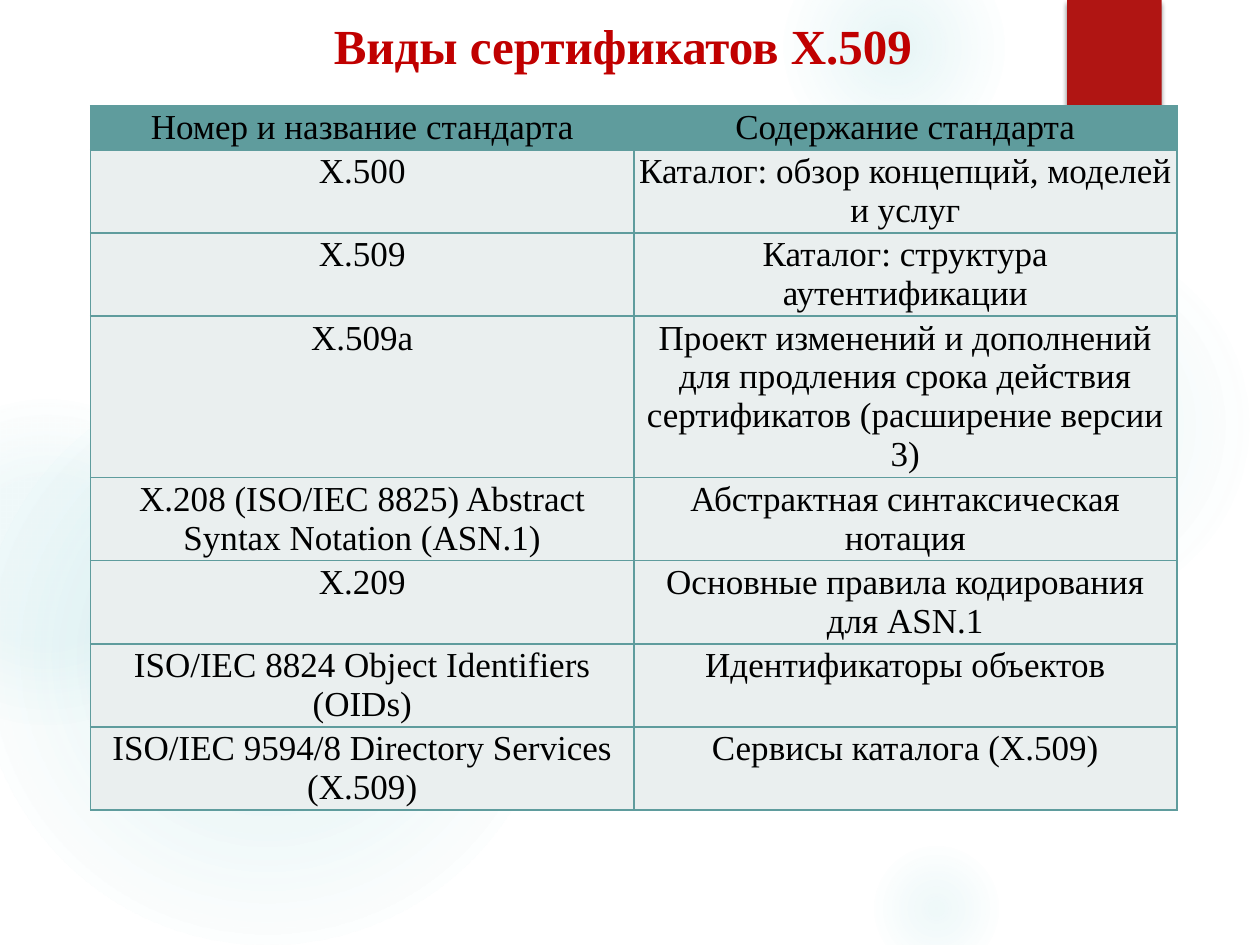
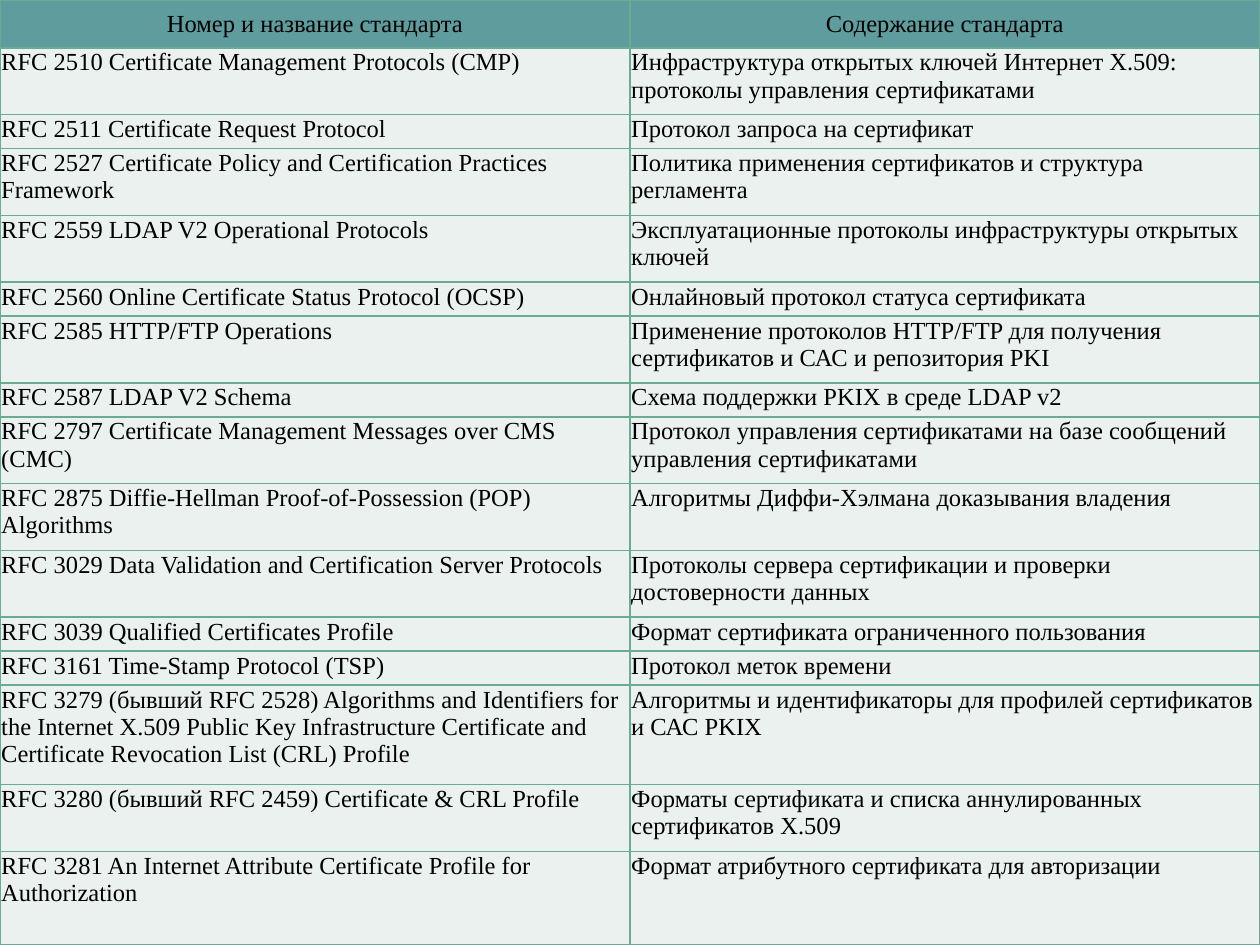
from pptx import Presentation
from pptx.dml.color import RGBColor
from pptx.enum.shapes import MSO_SHAPE
from pptx.enum.text import MSO_ANCHOR, PP_ALIGN
from pptx.oxml import parse_xml
from pptx.oxml.ns import nsdecls, qn
from pptx.util import Inches, Pt

CENTER, LEFT = PP_ALIGN.CENTER, PP_ALIGN.LEFT
TOP, MIDDLE = MSO_ANCHOR.TOP, MSO_ANCHOR.MIDDLE
OVAL, RECT = MSO_SHAPE.OVAL, MSO_SHAPE.RECTANGLE

# Shared style
FONT = "Times New Roman"
BLACK, RED, TITLE_RED = "000000", "B01513", "C00000"
GLOW, HEADER_FILL = "50B9C1", "5F9C9D"
PAGE_W, PAGE_H = 10, 7.5

# Background glows: left, top, diameter, (stop %, opacity %) from the centre out
GLOWS = [
    (6.89, 1.83, 3.08, [(0, 7), (36, 6), (69, 0)]),
    (6.22, -0.5, 1.75, [(0, 14), (36, 7), (73, 0)]),
    (6.89, 6.67, 1.08, [(0, 9), (36, 5), (66, 0)]),
    (-0.17, 2.92, 4.58, [(0, 11), (36, 10), (75, 0)]),
    (-0.92, 3.17, 2.58, [(0, 8), (36, 8), (72, 0)]),
]

# Content: number and name, contents, lines of text in the row
TITLE = "Виды сертификатов X.509"
HEADER = ("Номер и название стандарта", "Содержание стандарта", 1)
X509_ROWS = [
    ("X.500", "Каталог: обзор концепций, моделей и услуг", 2),
    ("X.509", "Каталог: структура аутентификации", 2),
    ("X.509a", "Проект изменений и дополнений для продления срока действия "
     "сертификатов (расширение версии 3)", 4),
    ("X.208 (ISO/IEC 8825) Abstract Syntax Notation (ASN.1)",
     "Абстрактная синтаксическая нотация", 2),
    ("X.209", "Основные правила кодирования для ASN.1", 2),
    ("ISO/IEC 8824 Object Identifiers (OIDs)", "Идентификаторы объектов", 2),
    ("ISO/IEC 9594/8 Directory Services (X.509)", "Сервисы каталога (X.509)", 2),
]
RFC_ROWS = [
    ("RFC 2510 Certificate Management Protocols (CMP)",
     "Инфраструктура открытых ключей Интернет X.509: протоколы управления "
     "сертификатами", 2),
    ("RFC 2511 Certificate Request Protocol", "Протокол запроса на сертификат", 1),
    ("RFC 2527 Certificate Policy and Certification Practices Framework",
     "Политика применения сертификатов и структура регламента", 2),
    ("RFC 2559 LDAP V2 Operational Protocols",
     "Эксплуатационные протоколы инфраструктуры открытых ключей", 2),
    ("RFC 2560 Online Certificate Status Protocol (OCSP)",
     "Онлайновый протокол статуса сертификата", 1),
    ("RFC 2585 HTTP/FTP Operations",
     "Применение протоколов HTTP/FTP для получения сертификатов и САС и "
     "репозитория PKI", 2),
    ("RFC 2587 LDAP V2 Schema", "Схема поддержки PKIX в среде LDAP v2", 1),
    ("RFC 2797 Certificate Management Messages over CMS (CMC)",
     "Протокол управления сертификатами на базе сообщений управления "
     "сертификатами", 2),
    ("RFC 2875 Diffie-Hellman Proof-of-Possession (POP) Algorithms",
     "Алгоритмы Диффи-Хэлмана доказывания владения", 2),
    ("RFC 3029 Data Validation and Certification Server Protocols",
     "Протоколы сервера сертификации и проверки достоверности данных", 2),
    ("RFC 3039 Qualified Certificates Profile",
     "Формат сертификата ограниченного пользования", 1),
    ("RFC 3161 Time-Stamp Protocol (TSP)", "Протокол меток времени", 1),
    ("RFC 3279 (бывший RFC 2528) Algorithms and Identifiers for the Internet "
     "X.509 Public Key Infrastructure Certificate and Certificate Revocation "
     "List (CRL) Profile",
     "Алгоритмы и идентификаторы для профилей сертификатов и САС PKIX", 3),
    ("RFC 3280 (бывший RFC 2459) Certificate & CRL Profile",
     "Форматы сертификата и списка аннулированных сертификатов X.509", 2),
    ("RFC 3281 An Internet Attribute Certificate Profile for Authorization",
     "Формат атрибутного сертификата для авторизации", 2),
]


def rgb(color):
    return RGBColor.from_string(color)


def style_run(r, size, color, bold=False):
    r.font.name, r.font.size, r.font.bold = FONT, Pt(size), bold
    r.font.color.rgb = rgb(color)


def add_plain(s, kind, left, top, width, height):
    sp = s.shapes.add_shape(kind, Inches(left), Inches(top),
                            Inches(width), Inches(height))
    sp.shadow.inherit = False
    sp.line.fill.background()
    return sp


def add_glow(s, left, top, size, stops):
    sp = add_plain(s, OVAL, left, top, size, size)
    sp.fill.background()
    gs = "".join(
        f'<a:gs pos="{pos * 1000}"><a:srgbClr val="{GLOW}">'
        f'<a:alpha val="{alpha * 1000}"/></a:srgbClr></a:gs>'
        for pos, alpha in stops)
    spPr = sp._element.spPr
    spPr.replace(spPr.find(qn("a:noFill")), parse_xml(
        f'<a:gradFill {nsdecls("a")}><a:gsLst>{gs}</a:gsLst><a:path path="circle">'
        '<a:fillToRect l="50000" t="50000" r="50000" b="50000"/></a:path></a:gradFill>'))


def add_ribbon(s):
    sp = add_plain(s, RECT, 8.47, 0, 0.75, 1.2)
    sp.fill.solid()
    sp.fill.fore_color.rgb = rgb(RED)
    sp._element.spPr.find(qn("a:effectLst")).append(parse_xml(
        f'<a:outerShdw {nsdecls("a")} blurRad="{Pt(3)}" dist="{Pt(2)}" dir="5400000" '
        f'rotWithShape="0"><a:srgbClr val="{BLACK}"><a:alpha val="45000"/>'
        '</a:srgbClr></a:outerShdw>'))


def new_slide(prs):
    s = prs.slides.add_slide(prs.slide_layouts[6])
    s.background.fill.solid()
    s.background.fill.fore_color.rgb = rgb("FFFFFF")
    for glow in GLOWS:
        add_glow(s, *glow)
    add_ribbon(s)
    return s


def add_title(s):
    tf = s.shapes.add_textbox(Inches(2.65), Inches(-0.08),
                              Inches(4.62), Inches(0.98)).text_frame
    tf.word_wrap = False
    tf.vertical_anchor = TOP
    tf.margin_left = tf.margin_right = 0
    tf.margin_top, tf.margin_bottom = Inches(0.2), Inches(0.04)
    tf.text = TITLE
    style_run(tf.paragraphs[0].runs[0], 28, TITLE_RED, bold=True)


def set_borders(cell, color):
    tcPr = cell._tc.get_or_add_tcPr()
    for i, side in enumerate(("lnL", "lnR", "lnT", "lnB")):
        tcPr.insert(i, parse_xml(
            f'<a:{side} {nsdecls("a")} w="{Pt(1)}"><a:solidFill>'
            f'<a:srgbClr val="{color}"/></a:solidFill></a:{side}>'))


def fill_cell(cell, text, size, align, anchor, fill, border, margin):
    cell.text = text
    cell.vertical_anchor = anchor
    cell.margin_left = cell.margin_right = Inches(margin)
    cell.margin_top = cell.margin_bottom = Inches(margin)
    cell.fill.solid()
    cell.fill.fore_color.rgb = rgb(fill)
    set_borders(cell, border)
    p = cell.text_frame.paragraphs[0]
    p.alignment = align
    style_run(p.runs[0], size, BLACK)


def add_standards(s, rows, left, top, col_width, heights, size, align,
                  fill, border, margin):
    tbl = s.shapes.add_table(len(rows) + 1, 2, Inches(left), Inches(top),
                             Inches(2 * col_width), Inches(sum(heights))).table
    tbl.first_row = tbl.horz_banding = False
    for col in tbl.columns:
        col.width = Inches(col_width)
    for i, (row, height) in enumerate(zip([HEADER] + rows, heights)):
        tbl.rows[i].height = Inches(height)
        look = (CENTER, MIDDLE, HEADER_FILL) if i == 0 else (align, TOP, fill)
        for j, text in enumerate(row[:2]):
            fill_cell(tbl.cell(i, j), text, size, *look, border, margin)


def row_heights(rows, first_line, next_line):
    return [first_line + next_line * (lines - 1) for *_, lines in rows]


def main():
    prs = Presentation()
    prs.slide_width, prs.slide_height = Inches(PAGE_W), Inches(PAGE_H)

    # Slide 1: X.500 family and ISO standards
    s = new_slide(prs)
    add_standards(s, X509_ROWS, 0.72, 0.84, 4.31,
                  row_heights([HEADER] + X509_ROWS, 0.35, 0.31),
                  20, CENTER, "EAEFEF", HEADER_FILL, 0.02)
    add_title(s)

    # Slide 2: RFC standards, with the last row reaching the page bottom
    s = new_slide(prs)
    heights = [0.38] + row_heights(RFC_ROWS[:-1], 0.27, 0.26)
    heights.append(PAGE_H - sum(heights))
    add_standards(s, RFC_ROWS, 0, 0, PAGE_W / 2, heights,
                  14, LEFT, "EBF1EE", "6AAC90", 0.01)

    prs.save("out.pptx")


if __name__ == "__main__":
    main()
